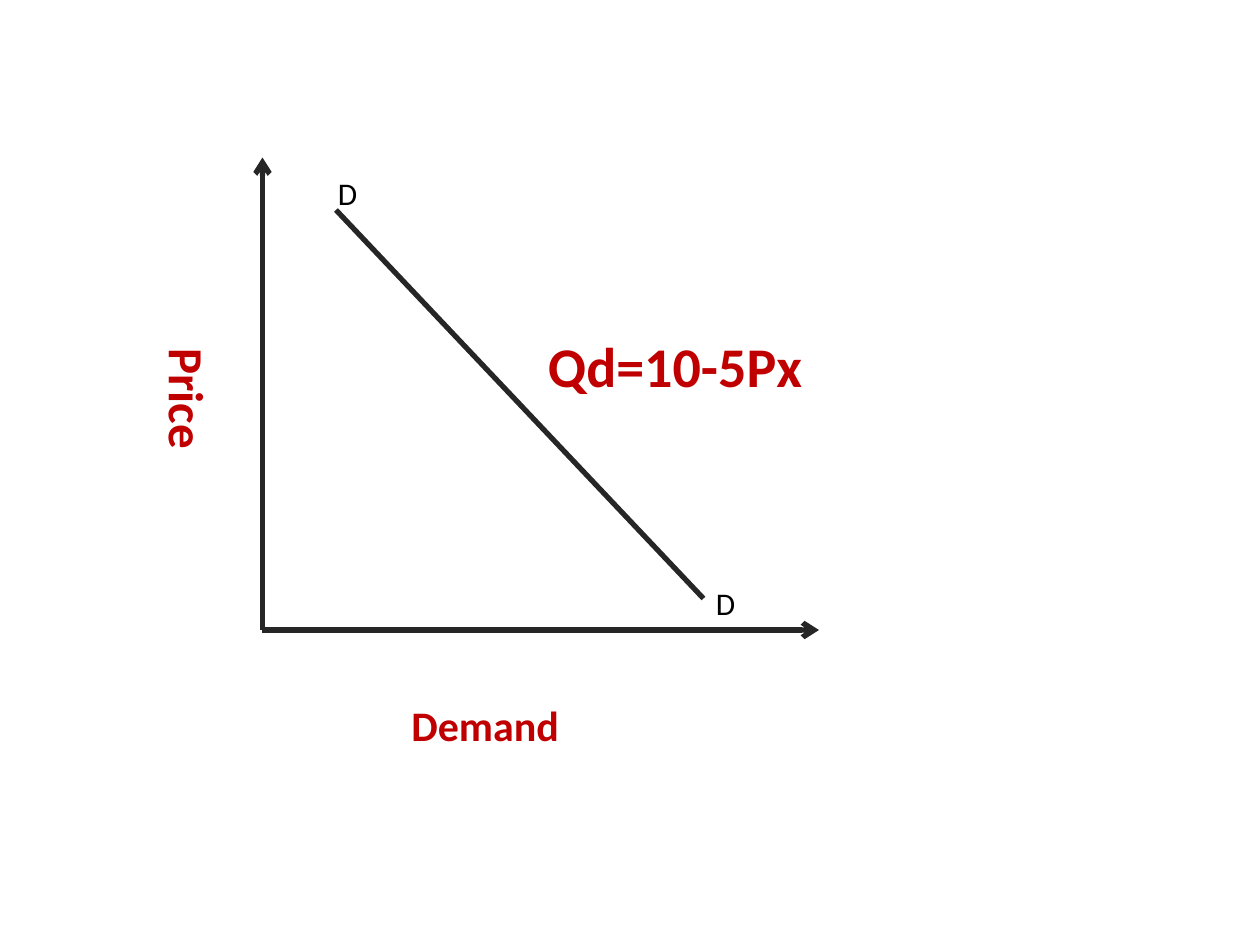
from pptx import Presentation
from pptx.dml.color import RGBColor
from pptx.enum.shapes import MSO_CONNECTOR
from pptx.enum.text import MSO_AUTO_SIZE
from pptx.oxml.ns import qn
from pptx.util import Pt
from lxml.etree import SubElement

COLORS = {"line": "262626", "accent": "C00000", "text": "000000"}
FONT = "Calibri"

# Lines: start, end, has arrowhead
ORIGIN = (150, 360)
LINES = [
    (ORIGIN, (150, 90), True),  # price axis
    (ORIGIN, (468, 360), True),  # demand axis
    ((192, 120), (402, 342), False),  # demand curve
]

# Labels: text, (left, top, width, height), style, wraps, vertical
STYLES = {
    "price": {"size": Pt(28), "bold": True, "color": "accent"},
    "demand": {"size": Pt(24), "bold": True, "color": "accent"},
    "curve": {"size": Pt(18), "bold": False, "color": "text"},
    "equation": {"size": Pt(32), "bold": True, "color": "accent"},
}
LABELS = [
    ("Price", (80, 192, 48, 84), "price", True, True),
    ("Demand", (228, 396, 126, 36), "demand", True, False),
    ("D", (186, 96, 37.5, 29), "curve", True, False),
    ("D", (402, 330, 37.5, 29), "curve", True, False),
    ("Qd=10-5Px", (306, 186, 161, 46), "equation", False, False),
]


def add_line(page, start, end, arrow):
    line = page.shapes.add_connector(
        MSO_CONNECTOR.STRAIGHT, *(Pt(value) for value in start + end))
    line.line.color.rgb = RGBColor.from_string(COLORS["line"])
    line.line.width = Pt(3)
    if arrow:
        SubElement(line.line._get_or_add_ln(), qn("a:tailEnd"), type="arrow")
    SubElement(line._element.spPr, qn("a:effectLst"))


def add_label(page, text, place, style, wraps, vertical):
    box = page.shapes.add_textbox(*(Pt(value) for value in place))
    frame = box.text_frame
    frame.word_wrap = wraps
    frame.auto_size = MSO_AUTO_SIZE.SHAPE_TO_FIT_TEXT
    if vertical:
        frame._txBody.bodyPr.set("vert", "vert")
    span = frame.paragraphs[0].add_run()
    span.text = text
    span.font.name = FONT
    for name, value in STYLES[style].items():
        if name == "color":
            span.font.color.rgb = RGBColor.from_string(COLORS[value])
        else:
            setattr(span.font, name, value)


def main():
    deck = Presentation()
    deck.slide_width, deck.slide_height = Pt(720), Pt(540)
    page = deck.slides.add_slide(deck.slide_layouts[6])
    for line in LINES:
        add_line(page, *line)
    for label in LABELS:
        add_label(page, *label)
    deck.save("out.pptx")


if __name__ == "__main__":
    main()
